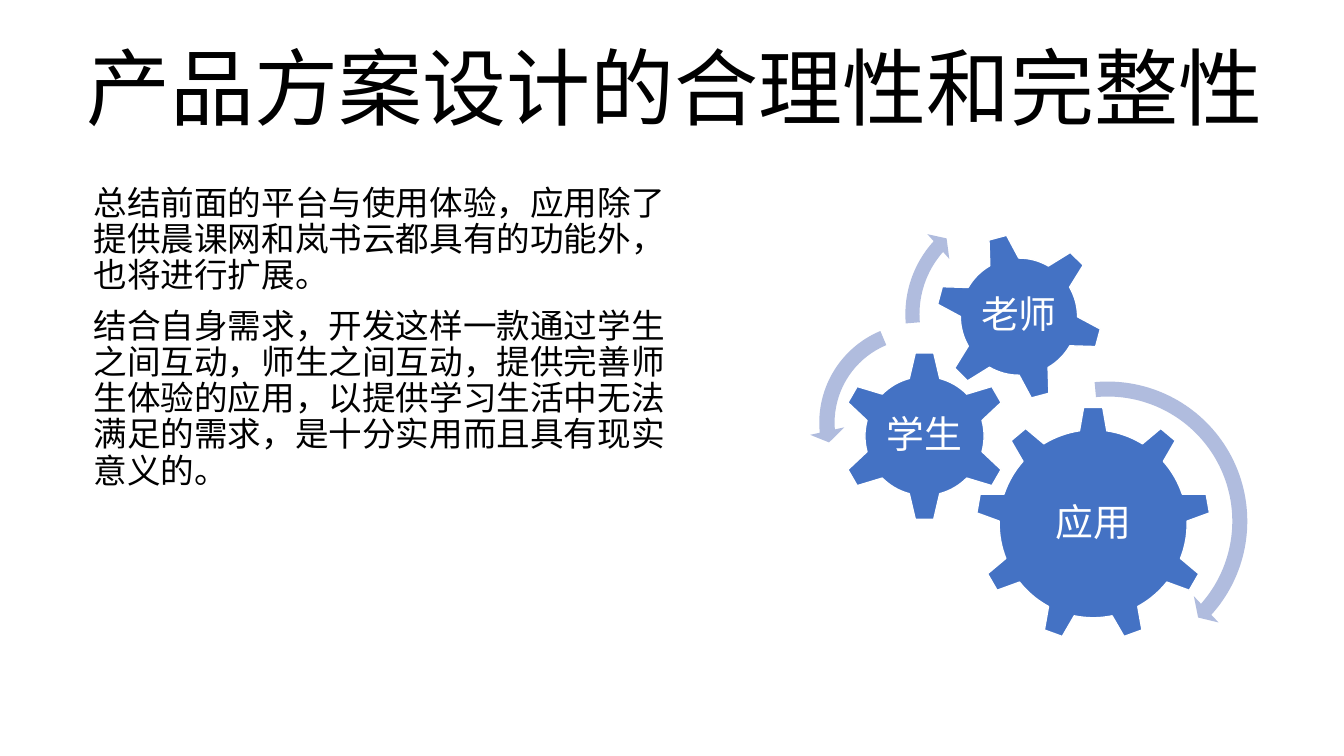
"""Build a slide on product design with three meshing gears."""
from lxml import etree
from pptx import Presentation, util as u
from pptx.dml.color import RGBColor
from pptx.enum import shapes, text
from pptx.oxml.ns import qn

KIND = shapes.MSO_SHAPE
ALIGN = text.PP_ALIGN
ANCHOR = text.MSO_ANCHOR

TITLE = ["产品方案设计的合理性和完整性"]
BODY = [
    "总结前面的平台与使用体验，应用除了提供晨课网和岚书云都具有的功能外，也将进行扩展。",
    "结合自身需求，开发这样一款通过学生之间互动，师生之间互动，提供完善师生体验的应用，"
    "以提供学习生活中无法满足的需求，是十分实用而且具有现实意义的。",
]
# label, kind, centre, diameter, label size, rotation
GEARS = [
    ("应用", KIND.GEAR_9, (27.55, 13.2), 5.92, (3.53, 2.95), 0),
    ("学生", KIND.GEAR_6, (23.3, 10.99), 4.29, (2.13, 2.13), 0),
    ("老师", KIND.GEAR_6, (25.68, 7.98), 4.22, (2.36, 2.36), 345),
]
ARROWS = [
    (KIND.CIRCULAR_ARROW, (24.13, 9.35), 7.57, (0.05, 2.99, 25.08, 158.79, 0.06)),
    (KIND.LEFT_CIRCULAR_ARROW, (20.4, 7.9), 5.51, (0.07, 4.3, 104.89, 148.38, 0.08)),
    (KIND.CIRCULAR_ARROW, (22.58, 4.95), 5.94, (0.06, 3.94, 133.14, 105.08, 0.07)),
]
THEME = {
    "font": "Noto Sans CJK SC",
    "ink": RGBColor.from_string("000000"),
    "white": RGBColor.from_string("FFFFFF"),
    "gear": RGBColor.from_string("4472C4"),
    "arrow": RGBColor.from_string("B0BCDE"),
    "title": u.Pt(60),
    "body": u.Pt(24),
    "label": u.Pt(27),
}


def write(slide, lines, box, size, ink="ink", align=ALIGN.CENTER,
          anchor=ANCHOR.MIDDLE, inset=None, before=0):
    frame = slide.shapes.add_textbox(*map(u.Cm, box)).text_frame
    frame.word_wrap = True
    frame.vertical_anchor = anchor
    if inset is not None:
        frame.margin_left = frame.margin_right = u.Cm(inset)
        frame.margin_top = frame.margin_bottom = u.Cm(inset)
    frame.text = "\n".join(lines)
    for para in frame.paragraphs:
        para.alignment = align
        para.line_spacing = 0.9
        para.space_before = u.Pt(before)
        para.font.size = THEME[size]
        para.font.name = THEME["font"]
        para.font.color.rgb = THEME[ink]
        props = para._p.pPr.find(qn("a:defRPr"))
        etree.SubElement(props, qn("a:ea")).set("typeface", THEME["font"])


def draw(slide, kind, left, top, size, fill):
    shape = slide.shapes.add_shape(kind, *map(u.Cm, (left, top, size, size)))
    shape.shadow.inherit = False
    shape.fill.solid()
    shape.fill.fore_color.rgb = THEME[fill]
    shape.line.fill.background()
    return shape


def main():
    deck = Presentation()
    deck.slide_width, deck.slide_height = u.Cm(33.87), u.Cm(19.05)
    slide = deck.slides.add_slide(deck.slide_layouts[6])
    write(slide, TITLE, (0.99, 0.58, 32.03, 3.02), "title", anchor=ANCHOR.BOTTOM)
    write(slide, BODY, (2.11, 4.57, 15.37, 12.4), "body", align=ALIGN.LEFT,
          anchor=ANCHOR.TOP, before=10)
    for label, kind, (x, y), size, (wide, high), turn in GEARS:
        gear = draw(slide, kind, x - size / 2, y - size / 2, size, "gear")
        gear.rotation = turn
        gear.line.color.rgb = THEME["white"]
        gear.line.width = u.Pt(1)
        write(slide, [label], (x - wide / 2, y - high / 2, wide, high),
              "label", ink="white", inset=0.1)
    for kind, (left, top), size, bends in ARROWS:
        arrow = draw(slide, kind, left, top, size, "arrow")
        for i, bend in enumerate(bends):
            arrow.adjustments[i] = bend
    deck.save("out.pptx")


if __name__ == "__main__":
    main()
